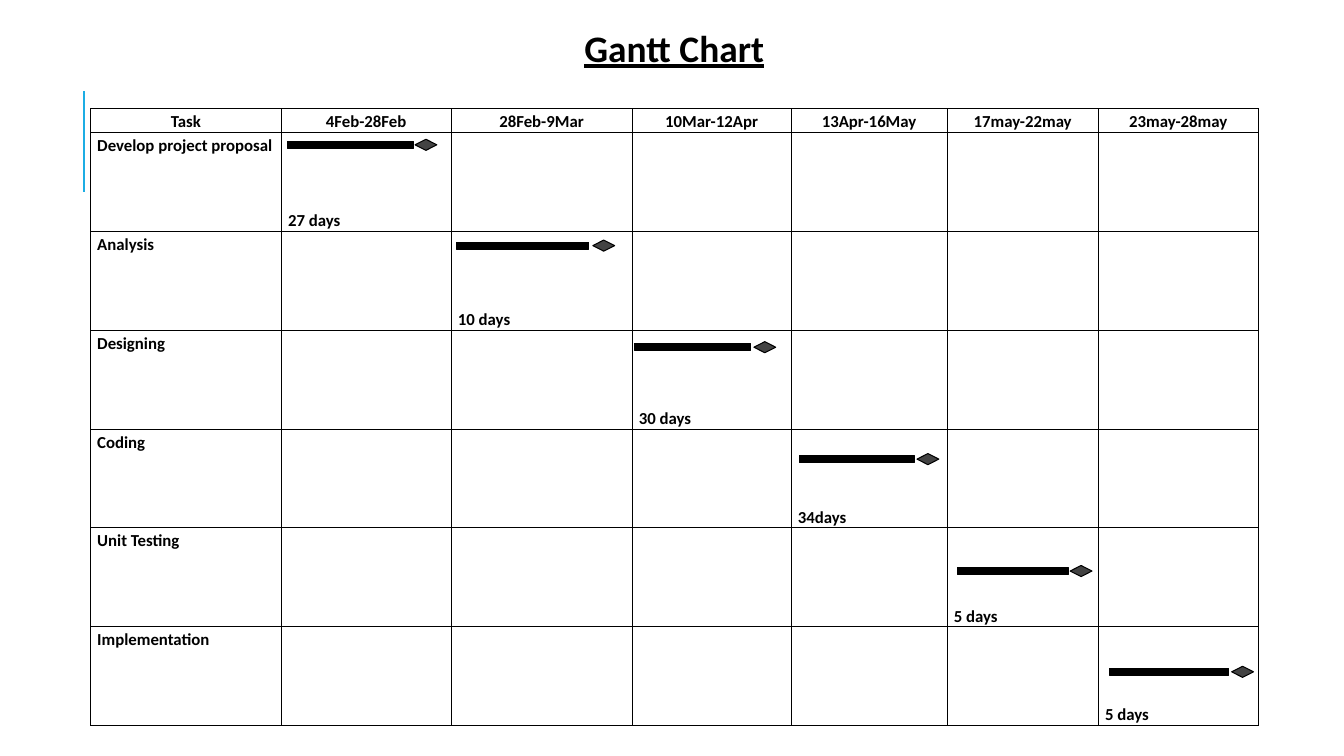
import pptx
import pptx.util
import pptx.dml.color
import pptx.enum.shapes
import pptx.enum.text
import pptx.oxml.ns
from lxml import etree

Cm, Pt = pptx.util.Cm, pptx.util.Pt
RGB = pptx.dml.color.RGBColor
SHAPE = pptx.enum.shapes.MSO_SHAPE
ALIGN = pptx.enum.text.PP_ALIGN
ANCHOR = pptx.enum.text.MSO_ANCHOR
qn = pptx.oxml.ns.qn

BLACK = RGB(0x00, 0x00, 0x00)
GREY = RGB(0x43, 0x43, 0x43)
BLUE = RGB(0x1C, 0xAD, 0xE4)

# Task, period, days, then left, top and width of the bar and left of its end
TASKS = [
    ("Develop project proposal", "4Feb-28Feb", "27 days", 7.24, 3.56, 3.18, 10.46),
    ("Analysis", "28Feb-9Mar", "10 days", 11.51, 6.1, 3.33, 14.94),
    ("Designing", "10Mar-12Apr", "30 days", 16, 8.66, 2.92, 19),
    ("Coding", "13Apr-16May", "34days", 20.14, 11.48, 2.9, 23.11),
    ("Unit Testing", "17may-22may", "5 days", 24.13, 14.3, 2.79, 26.97),
    ("Implementation", "23may-28may", "5 days", 27.97, 16.84, 3, 31.04),
]
WIDTHS = [4.81, 4.28, 4.56, 4.01, 3.93, 3.81, 4.03]
HEAD, ROW = 0.6, 2.49


def write(frame, text, size, align):
    para = frame.paragraphs[0]
    para.text = text
    para.alignment = align
    para.line_spacing = 1.15
    para.font.name = "Calibri"
    para.font.size = Pt(size)
    para.font.bold = True
    para.font.color.rgb = BLACK
    return para


def draw(group, kind, box, color):
    shape = group.shapes.add_shape(kind, *[Cm(n) for n in box])
    shape.shadow.inherit = False
    shape.fill.solid()
    shape.fill.fore_color.rgb = color
    shape.line.color.rgb = BLACK
    shape.line.width = Pt(0.75)


deck = pptx.Presentation()
deck.slide_width, deck.slide_height = Cm(33.87), Cm(19.05)
slide = deck.slides.add_slide(deck.slide_layouts[6])

# Accent line
rule = slide.shapes.add_connector(
    pptx.enum.shapes.MSO_CONNECTOR.STRAIGHT, Cm(2.12), Cm(4.83), Cm(2.12), Cm(2.29))
rule.line.color.rgb = BLUE
rule.line.width = Pt(1.5)
etree.SubElement(rule.element.spPr, qn("a:effectLst"))

# Table
rows, cols = len(TASKS) + 1, len(WIDTHS)
table = slide.shapes.add_table(
    rows, cols, Cm(2.28), Cm(2.74), Cm(sum(WIDTHS)), Cm(HEAD + ROW * len(TASKS))).table
table.first_row = table.horz_banding = False
for col, width in zip(table.columns, WIDTHS):
    col.width = Cm(width)
for i, row in enumerate(table.rows):
    row.height = Cm(ROW if i else HEAD)

for cell in table.iter_cells():
    cell.margin_left = cell.margin_right = Cm(0.17)
    cell.margin_top = cell.margin_bottom = 0
    props = cell._tc.get_or_add_tcPr()
    for side in ("a:lnL", "a:lnR", "a:lnT", "a:lnB"):
        edge = etree.SubElement(props, qn(side), w=str(Pt(0.5)))
        fill = etree.SubElement(edge, qn("a:solidFill"))
        etree.SubElement(fill, qn("a:srgbClr"), val=str(BLACK))
    cell.fill.background()

write(table.cell(0, 0).text_frame, "Task", 12, ALIGN.CENTER)
for i, (task, dates, days, left, top, width, end) in enumerate(TASKS, 1):
    write(table.cell(0, i).text_frame, dates, 12, ALIGN.CENTER)
    write(table.cell(i, 0).text_frame, task, 12, ALIGN.LEFT)
    cell = table.cell(i, i)
    cell.vertical_anchor = ANCHOR.BOTTOM
    write(cell.text_frame, days, 12, ALIGN.LEFT)

    # Bar with its milestone
    group = slide.shapes.add_group_shape()
    draw(group, SHAPE.RECTANGLE, (left, top, width, 0.18), BLACK)
    draw(group, SHAPE.DIAMOND, (end, top - 0.05, 0.55, 0.28), GREY)

# Title
title = slide.shapes.add_textbox(Cm(13.77), Cm(0.33), Cm(6.45), Cm(1.5))
title.text_frame.word_wrap = True
para = write(title.text_frame, "Gantt Chart", 26.7, ALIGN.CENTER)
para.font.underline = True
para.space_after = Pt(13.3)

deck.save("out.pptx")
